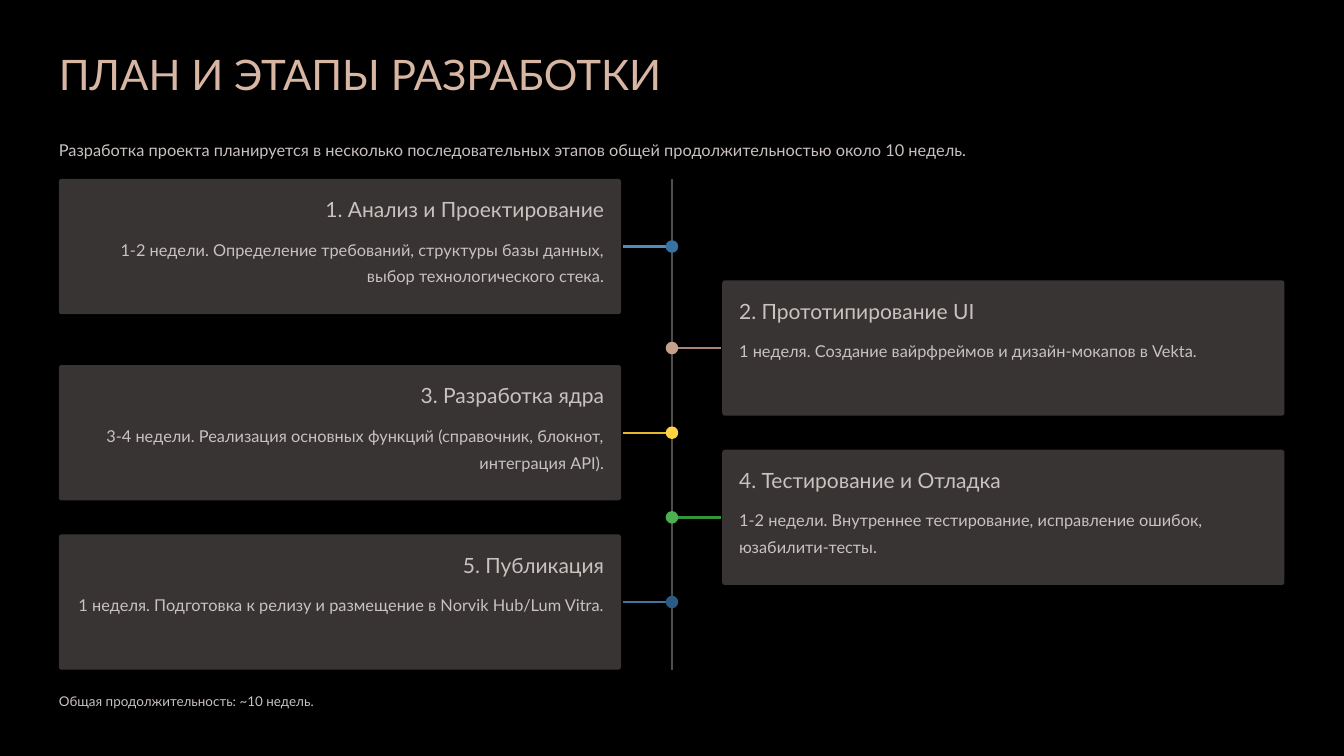
from lxml.etree import SubElement
from pptx import Presentation
from pptx.dml.color import RGBColor
from pptx.enum.shapes import MSO_CONNECTOR as Connector, MSO_SHAPE as Shape
from pptx.enum.text import MSO_ANCHOR as Anchor, MSO_AUTO_SIZE as AutoSize, PP_ALIGN as Align
from pptx.oxml.ns import qn
from pptx.util import Cm, Pt

MARGIN = 1.78
CONTENT_WIDTH = 37.06
SPINE_X = 20.32
CARD_WIDTH, CARD_HEIGHT = 17, 4.09
RIGHT_CARD_X = 21.84
PADDING = 0.51
FIRST_TOP, SECOND_TOP, STEP = 5.41, 8.48, 2.56
BRANCH = 1.47
OVERLAP = 0.05

STAGES = [
    ("1. Анализ и Проектирование",
     "1-2 недели. Определение требований, структуры базы данных, выбор технологического стека.",
     "4F8CBD", "3673A4"),
    ("2. Прототипирование UI",
     "1 неделя. Создание вайрфреймов и дизайн-мокапов в Vekta.",
     "AA8572", "C49F8C"),
    ("3. Разработка ядра",
     "3-4 недели. Реализация основных функций (справочник, блокнот, интеграция API).",
     "E5B929", "FFD343"),
    ("4. Тестирование и Отладка",
     "1-2 недели. Внутреннее тестирование, исправление ошибок, юзабилити-тесты.",
     "329536", "4CAF50"),
    ("5. Публикация",
     "1 неделя. Подготовка к релизу и размещение в Norvik Hub/Lum Vitra.",
     "44749D", "2B5B84"),
]


def color(value):
    return RGBColor.from_string(value)


def write(frame, text, size=14, spacing=23, ink="C9C2C0", align=Align.LEFT, font="Lato"):
    frame.margin_left = frame.margin_right = frame.margin_top = frame.margin_bottom = 0
    frame.auto_size = AutoSize.NONE
    frame.word_wrap = True
    frame.vertical_anchor = Anchor.TOP
    paragraph = frame.paragraphs[0]
    paragraph.alignment = align
    paragraph.line_spacing = Pt(spacing)
    paragraph.space_before = Pt(0)
    run = paragraph.add_run()
    run.text = text
    run.font.name = font
    run.font.size = Pt(size)
    run.font.color.rgb = color(ink)


class Timeline:
    background = "000000"
    card_fill = "373433"
    spine_ink = "504D4C"
    title_ink = "D8B6A4"

    def __init__(self, deck):
        self.slide = deck.slides.add_slide(deck.slide_layouts[5])
        fill = self.slide.background.fill
        fill.solid()
        fill.fore_color.rgb = color(self.background)

    def title(self, text, top):
        heading = self.slide.shapes.title
        heading.left, heading.top = Cm(MARGIN), Cm(top)
        heading.width, heading.height = Cm(CONTENT_WIDTH), Cm(1.6)
        write(heading.text_frame, text, size=36, spacing=45, ink=self.title_ink)

    def text(self, text, left, top, width, height, **style):
        box = self.slide.shapes.add_textbox(Cm(left), Cm(top), Cm(width), Cm(height))
        write(box.text_frame, text, **style)

    def shape(self, kind, left, top, width, height, fill):
        shape = self.slide.shapes.add_shape(kind, Cm(left), Cm(top), Cm(width), Cm(height))
        shape.shadow.inherit = False
        shape.fill.solid()
        shape.fill.fore_color.rgb = color(fill)
        shape.line.fill.background()
        return shape

    def line(self, x1, y1, x2, y2, ink):
        line = self.slide.shapes.add_connector(
            Connector.STRAIGHT, Cm(x1), Cm(y1), Cm(x2), Cm(y2))
        line.line.color.rgb = color(ink)
        line.line.width = Pt(2)
        SubElement(line._element.spPr, qn("a:effectLst"))

    def dot(self, x, y, fill, size=0.38):
        self.shape(Shape.OVAL, x - size / 2, y - size / 2, size, size, fill)

    def stage(self, name, details, branch_ink, dot_fill, top, on_left):
        middle = top + CARD_HEIGHT / 2
        side = -1 if on_left else 1
        self.line(SPINE_X - side * OVERLAP, middle, SPINE_X + side * BRANCH, middle, branch_ink)
        self.dot(SPINE_X, middle, dot_fill)
        left = MARGIN if on_left else RIGHT_CARD_X
        card = self.shape(Shape.ROUNDED_RECTANGLE, left, top, CARD_WIDTH, CARD_HEIGHT,
                          self.card_fill)
        card.adjustments[0] = 0.02
        align = Align.RIGHT if on_left else Align.LEFT
        inner_left, inner_width = left + PADDING, CARD_WIDTH - 2 * PADDING
        self.text(name, inner_left, top + PADDING, inner_width, 0.79,
                  size=18, spacing=22.5, align=align)
        self.text(details, inner_left, top + 1.62, inner_width, 1.63, align=align)


def main():
    deck = Presentation()
    deck.slide_width, deck.slide_height = Cm(40.64), Cm(22.86)
    plan = Timeline(deck)
    plan.title("ПЛАН И ЭТАПЫ РАЗРАБОТКИ", 1.4)
    plan.text("Разработка проекта планируется в несколько последовательных этапов "
              "общей продолжительностью около 10 недель.", MARGIN, 4.01, CONTENT_WIDTH, 0.81)
    tops = [FIRST_TOP] + [SECOND_TOP + STEP * i for i in range(len(STAGES) - 1)]
    plan.line(SPINE_X, FIRST_TOP, SPINE_X, tops[-1] + CARD_HEIGHT, plan.spine_ink)
    for index, (stage, top) in enumerate(zip(STAGES, tops)):
        plan.stage(*stage, top=top, on_left=index % 2 == 0)
    plan.text("Общая продолжительность: ~10 недель.", MARGIN, 20.8, CONTENT_WIDTH, 0.66,
              size=11.5, spacing=18.5)
    deck.save("out.pptx")


if __name__ == "__main__":
    main()
